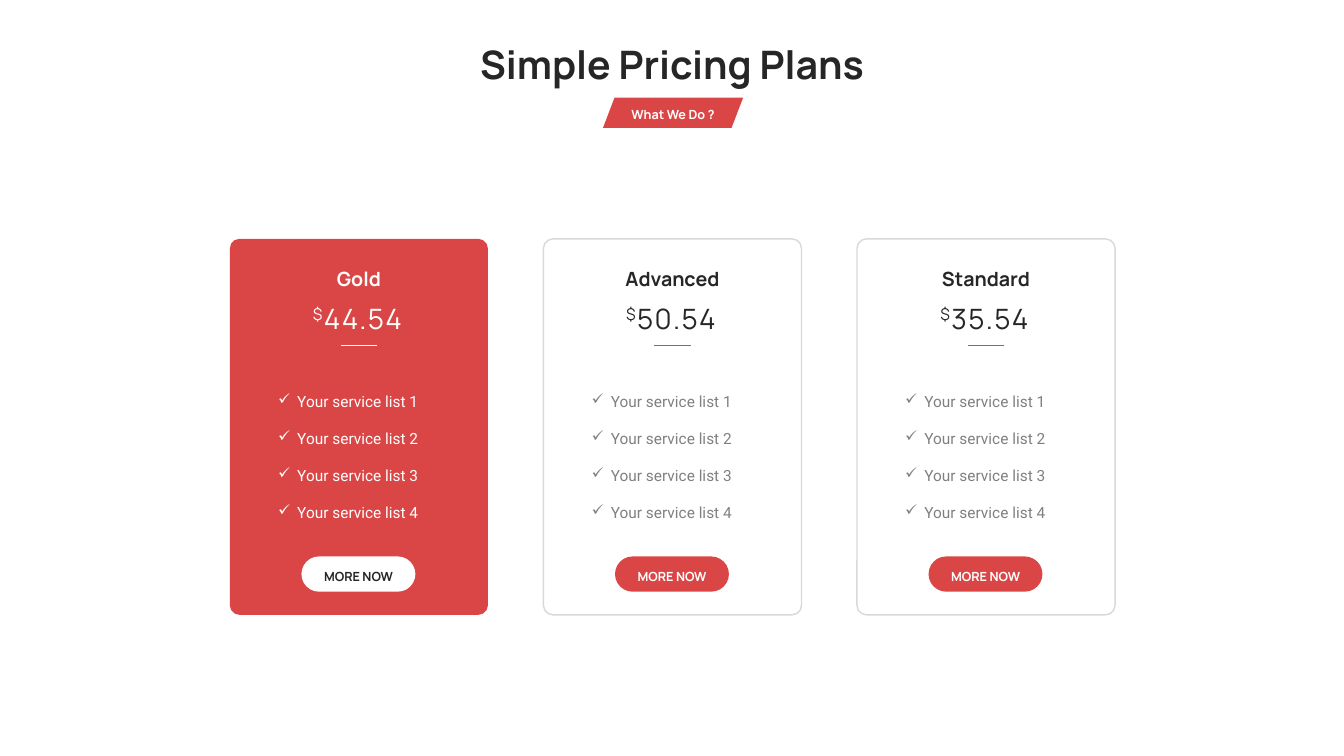
import pptx
import pptx.dml.color
import pptx.enum.shapes
import pptx.enum.text
import pptx.oxml
import pptx.oxml.ns
import pptx.util

Inches = pptx.util.Inches
Pt = pptx.util.Pt
SHAPE = pptx.enum.shapes.MSO_SHAPE
ALIGN = pptx.enum.text.PP_ALIGN
RED, WHITE, DARK, GREY, BORDER = "DA4646", "FFFFFF", "262626", "808080", "D9D9D9"


def rgb(value):
    return pptx.dml.color.RGBColor.from_string(value)


def add_run(p, text, size=9, color=DARK, font="Manrope", bold=False, spacing=None, baseline=None):
    r = p.add_run()
    r.text = text
    r.font.size = Pt(size)
    r.font.name = font
    r.font.bold = bold
    r.font.color.rgb = rgb(color)
    rPr = r._r.get_or_add_rPr()
    if spacing:
        rPr.set("spc", str(spacing))
    if baseline:
        rPr.set("baseline", str(baseline))


class PricingSlide:
    """Holds the pricing style and the slide being drawn."""

    def __init__(self, prs):
        self.slide = prs.slides.add_slide(prs.slide_layouts[5])
        self.shapes = self.slide.shapes

    def frame(self, sp, wrap=True):
        tf = sp.text_frame
        tf.word_wrap = wrap
        tf.auto_size = pptx.enum.text.MSO_AUTO_SIZE.SHAPE_TO_FIT_TEXT
        tf.vertical_anchor = pptx.enum.text.MSO_ANCHOR.TOP
        return tf

    def title(self, text, left, top, width, height):
        sp = self.shapes.title
        sp.left, sp.top, sp.width, sp.height = map(Inches, (left, top, width, height))
        p = self.frame(sp).paragraphs[0]
        p.alignment = ALIGN.CENTER
        add_run(p, text, size=28, bold=True)

    def box(self, kind, left, top, width, height, fill, adj, line=None, parent=None):
        sp = (parent or self.shapes).add_shape(kind, *map(Inches, (left, top, width, height)))
        sp.shadow.inherit = False
        sp.adjustments[0] = adj
        sp.fill.solid()
        sp.fill.fore_color.rgb = rgb(fill)
        if line:
            sp.line.color.rgb = rgb(line)
            sp.line.width = Pt(1)
        else:
            sp.line.fill.background()

    def text(self, left, top, width, height, runs, wrap=True, parent=None):
        sp = (parent or self.shapes).add_textbox(*map(Inches, (left, top, width, height)))
        p = self.frame(sp, wrap).paragraphs[0]
        p.alignment = ALIGN.CENTER
        for text, style in runs:
            add_run(p, text, **style)

    def label(self, kind, left, top, width, height, fill, adj, text, color, inset, drop):
        group = self.shapes.add_group_shape().shapes
        self.box(kind, left, top, width, height, fill, adj, parent=group)
        style = dict(color=color, bold=True)
        self.text(left + inset, top + drop, width - 2 * inset, 0.25, [(text, style)], False, group)

    def checklist(self, left, top, width, height, items, color):
        sp = self.shapes.add_textbox(*map(Inches, (left, top, width, height)))
        tf = self.frame(sp)
        for i, item in enumerate(items):
            p = tf.add_paragraph() if i else tf.paragraphs[0]
            p.line_spacing = 2.0
            pPr = p._p.get_or_add_pPr()
            pPr.set("marL", str(Inches(0.19)))
            pPr.set("indent", str(-Inches(0.19)))
            ns = pptx.oxml.ns.nsdecls("a")
            pPr.append(pptx.oxml.parse_xml(f'<a:buChar {ns} char="✓"/>'))
            add_run(p, item, size=11, color=color, font="Roboto")

    def rule(self, left, top, width, color):
        straight = pptx.enum.shapes.MSO_CONNECTOR.STRAIGHT
        cx = self.shapes.add_connector(straight, *map(Inches, (left, top, left + width, top)))
        cx.line.color.rgb = rgb(color)
        cx.line.width = Pt(1)
        cx._element.spPr.append(pptx.oxml.parse_xml(f'<a:effectLst {pptx.oxml.ns.nsdecls("a")}/>'))

    def plan(self, left, name, price, featured):
        fill, line, ink, body, accent = (
            (RED, None, WHITE, WHITE, WHITE) if featured else (WHITE, BORDER, DARK, GREY, RED))
        self.box(SHAPE.ROUNDED_RECTANGLE, left, 2.37, 2.56, 3.73, fill, 0.037, line)
        services = [f"Your service list {n}" for n in range(1, 5)]
        self.checklist(left + 0.38, 3.66, 1.8, 1.58, services, body)
        self.label(SHAPE.ROUNDED_RECTANGLE, left + 0.71, 5.52, 1.13, 0.35, accent, 0.5,
                   "MORE NOW", DARK if featured else WHITE, 0.09, 0.07)
        style = dict(size=20, color=ink, spacing=100)
        self.text(left + 0.58, 2.94, 1.37, 0.44, [("$", dict(style, baseline=30000)), (price, style)])
        self.text(left + 0.56, 2.6, 1.44, 0.34, [(name, dict(size=14, color=ink, bold=True))])
        self.rule(left + 1.1, 3.43, 0.36, accent)


def main():
    prs = pptx.Presentation()
    prs.slide_width, prs.slide_height = Inches(13.33), Inches(7.5)
    s = PricingSlide(prs)
    plans = [("Gold", "44.54"), ("Advanced", "50.54"), ("Standard", "35.54")]
    for i, (name, price) in enumerate(plans):
        s.plan(2.28 + 3.11 * i, name, price, featured=i == 0)
    s.title("Simple Pricing Plans", 3.97, 0.35, 5.39, 0.57)
    s.label(SHAPE.PARALLELOGRAM, 5.98, 0.97, 1.39, 0.3, RED, 0.382, "What We Do ?", WHITE, 0.12, 0.04)
    prs.save("out.pptx")


if __name__ == "__main__":
    main()
